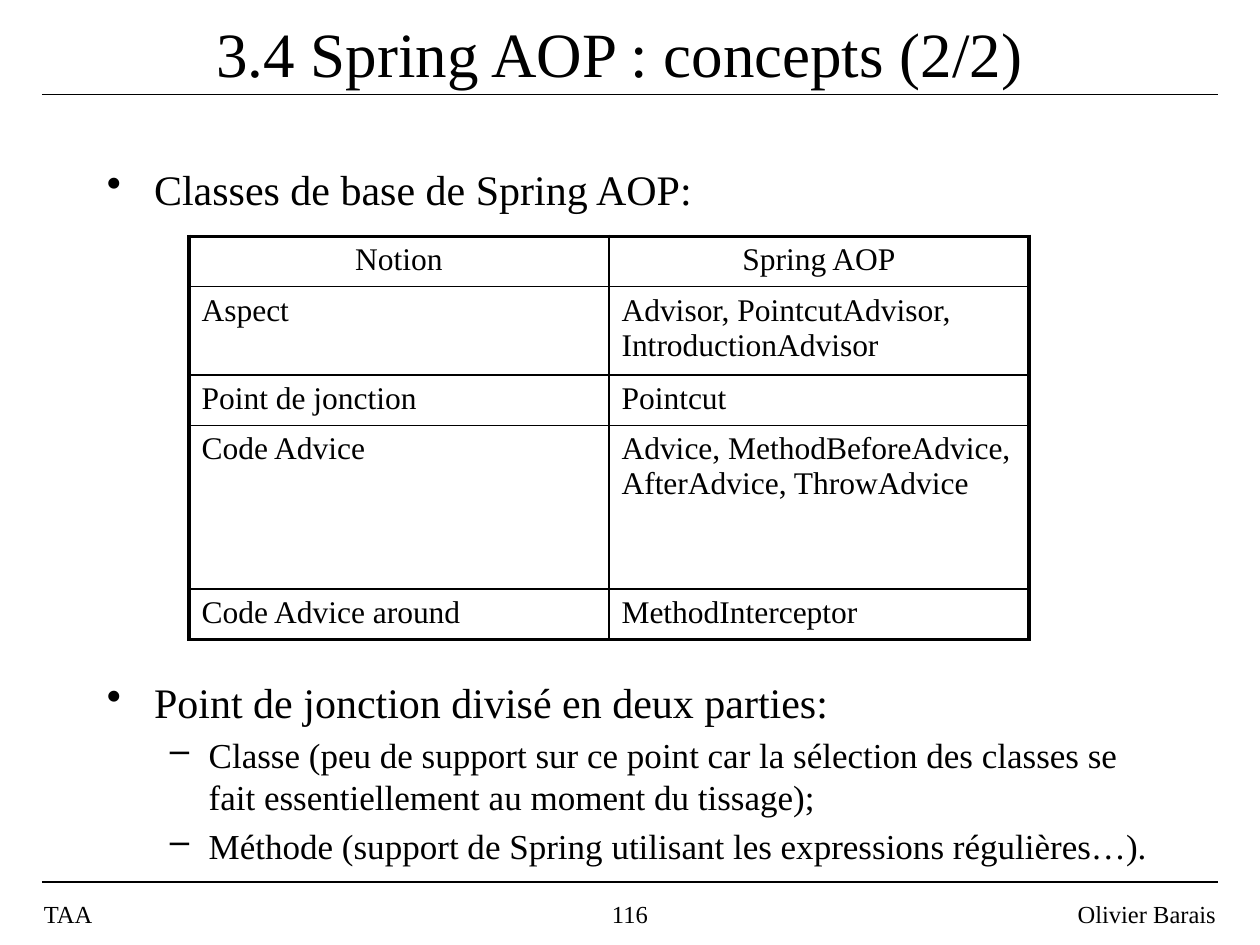
from dataclasses import dataclass

from lxml.etree import SubElement
from pptx import Presentation
from pptx.dml.color import RGBColor
from pptx.enum.shapes import MSO_CONNECTOR
from pptx.enum.text import MSO_ANCHOR, PP_ALIGN
from pptx.oxml.ns import qn
from pptx.util import Pt

PX = 7620  # EMU per px, 120 px to the inch


@dataclass(frozen=True)
class Theme:
    font: str = "Times New Roman"
    ink: str = "000000"
    title: int = 36
    body: int = 24
    sub: int = 20
    cell: int = 18
    foot: int = 14
    thin: float = 1
    thick: float = 2.25


@dataclass(frozen=True)
class Box:
    x: int
    y: int
    w: int
    h: int


@dataclass(frozen=True)
class Para:
    text: str
    size: int
    align: PP_ALIGN = PP_ALIGN.LEFT
    mark: str = ""
    left: int = 0
    hang: int = 0
    level: int = 0


THEME = Theme()
INK = RGBColor.from_string(THEME.ink)


def emu(px: int) -> int:
    return px * PX


def fill(frame, paras: list[Para]) -> None:
    for i, item in enumerate(paras):
        para = frame.paragraphs[0] if i == 0 else frame.add_paragraph()
        para.alignment = item.align
        para.level = item.level
        if item.mark:
            props = para._p.get_or_add_pPr()
            props.set("marL", str(emu(item.left)))
            props.set("indent", str(-emu(item.hang)))
            SubElement(props, qn("a:buChar"), char=item.mark)
        if i:
            para.space_before = Pt(item.size * 0.2)
        run = para.add_run()
        run.text = item.text
        font = run.font
        font.name, font.size, font.bold = THEME.font, Pt(item.size), False
        font.color.rgb = INK


def write(slide, box: Box, paras: list[Para], anchor=MSO_ANCHOR.TOP) -> None:
    shape = slide.shapes.add_textbox(*map(emu, (box.x, box.y, box.w, box.h)))
    frame = shape.text_frame
    frame.word_wrap = True
    frame.vertical_anchor = anchor
    fill(frame, paras)


def rule(slide, y: int) -> None:
    line = slide.shapes.add_connector(
        MSO_CONNECTOR.STRAIGHT, *map(emu, (40, y, 1160, y)))
    line.line.color.rgb = INK
    line.line.width = Pt(THEME.thin)
    SubElement(line._element.spPr, qn("a:effectLst"))


def edge(cell, side: str, outer: bool) -> None:
    width = Pt(THEME.thick if outer else THEME.thin)
    line = SubElement(cell._tc.get_or_add_tcPr(), qn(f"a:ln{side}"), w=str(width))
    solid = SubElement(line, qn("a:solidFill"))
    SubElement(solid, qn("a:srgbClr"), val=THEME.ink)


def grid(slide, x: int, y: int, wide: int, highs: list[int],
         rows: list[tuple[str, str]]) -> None:
    count, cols = len(rows), len(rows[0])
    table = slide.shapes.add_table(
        count, cols, *map(emu, (x, y, wide * cols, sum(highs)))).table
    table.first_row = table.horz_banding = False
    for col in table.columns:
        col.width = emu(wide)
    for r, texts in enumerate(rows):
        table.rows[r].height = emu(highs[r])
        for c, text in enumerate(texts):
            cell = table.cell(r, c)
            edge(cell, "L", c == 0)
            edge(cell, "R", c == cols - 1)
            edge(cell, "T", r == 0)
            edge(cell, "B", r == count - 1)
            cell.fill.background()
            align = PP_ALIGN.LEFT if r else PP_ALIGN.CENTER
            fill(cell.text_frame, [Para(text, THEME.cell, align)])


def point(text: str) -> Para:
    return Para(text, THEME.body, mark="•", left=45, hang=45)


def dash(text: str) -> Para:
    return Para(text, THEME.sub, mark="–", left=97, hang=37, level=1)


def main() -> None:
    deck = Presentation()
    deck.slide_width, deck.slide_height = emu(1200), emu(900)
    slide = deck.slides.add_slide(deck.slide_layouts[6])

    # Rules and footer
    for y in (90, 840):
        rule(slide, y)
    for x, w, text, align in (
        (30, 250, "TAA", PP_ALIGN.LEFT),
        (410, 380, "116", PP_ALIGN.CENTER),
        (920, 250, "Olivier Barais", PP_ALIGN.RIGHT),
    ):
        write(slide, Box(x, 850, w, 40), [Para(text, THEME.foot, align)],
              MSO_ANCHOR.MIDDLE)

    # Title
    write(slide, Box(80, 20, 1020, 60),
          [Para("3.4 Spring AOP : concepts (2/2)", THEME.title, PP_ALIGN.CENTER)],
          MSO_ANCHOR.MIDDLE)

    # Base classes
    write(slide, Box(90, 150, 1020, 52), [point("Classes de base de Spring AOP:")])
    grid(slide, 180, 225, 400, [47, 84, 47, 156, 47], [
        ("Notion", "Spring AOP"),
        ("Aspect", "Advisor, PointcutAdvisor, IntroductionAdvisor"),
        ("Point de jonction", "Pointcut"),
        ("Code Advice", "Advice, MethodBeforeAdvice, AfterAdvice, ThrowAdvice"),
        ("Code Advice around", "MethodInterceptor"),
    ])

    # Join point parts
    write(slide, Box(90, 638, 1020, 196), [
        point("Point de jonction divisé en deux parties:"),
        dash("Classe (peu de support sur ce point car la sélection des classes "
             "se fait essentiellement au moment du tissage);"),
        dash("Méthode (support de Spring utilisant les expressions régulières…)."),
    ])

    deck.save("out.pptx")


if __name__ == "__main__":
    main()
